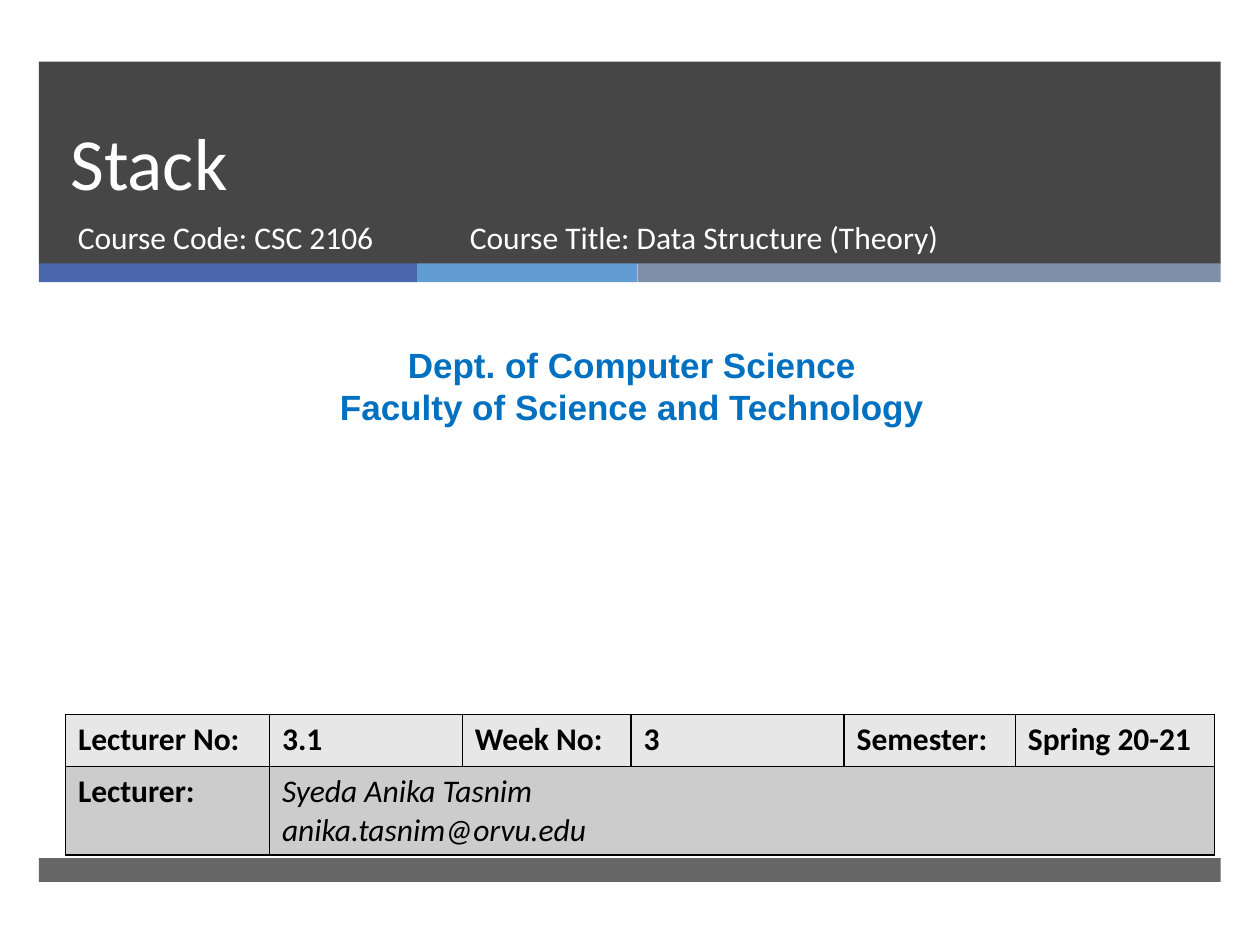
from lxml import etree
from pptx import Presentation
from pptx import util as u
from pptx.dml.color import RGBColor
from pptx.enum import shapes, text
from pptx.oxml import ns

WHITE = RGBColor(0xFF, 0xFF, 0xFF)
BLACK = RGBColor(0, 0, 0)
CHARCOAL = RGBColor(0x26, 0x26, 0x26)
INDIGO = RGBColor(0x4A, 0x66, 0xAC)
SKY = RGBColor(0x62, 0x9D, 0xD1)
SLATE = RGBColor(0x7F, 0x8F, 0xA9)
DEPT_BLUE = RGBColor(0x00, 0x70, 0xC0)
LIGHT_GREY = RGBColor(0xE7, 0xE7, 0xE7)
MID_GREY = RGBColor(0xCC, 0xCC, 0xCC)


class CoverSlide:
    base = {"name": "Calibri", "size": u.Pt(18)}

    def __init__(self, deck):
        self.slide = deck.slides.add_slide(deck.slide_layouts[6])

    def band(self, left, top, width, height, color, opacity=100):
        box = map(u.Pt, (left, top, width, height))
        bar = self.slide.shapes.add_shape(shapes.MSO_SHAPE.RECTANGLE, *box)
        bar.shadow.inherit = False
        bar.line.fill.background()
        bar.fill.solid()
        bar.fill.fore_color.rgb = color
        if opacity < 100:
            tint = bar._element.spPr.find(ns.qn("a:solidFill"))[0]
            etree.SubElement(tint, ns.qn("a:alpha"), val=str(opacity * 1000))

    def set_lines(self, frame, lines, color, paragraph_format=None, **font_format):
        frame.word_wrap = True
        for index, line in enumerate(lines):
            paragraph = frame.paragraphs[0] if index == 0 else frame.add_paragraph()
            for key, value in (paragraph_format or {}).items():
                setattr(paragraph, key, value)
            run = paragraph.add_run()
            run.text = line
            run.font.color.rgb = color
            for key, value in {**self.base, **font_format}.items():
                setattr(run.font, key, value)

    def label(self, left, top, width, height, lines, color,
              anchor=text.MSO_ANCHOR.TOP, paragraph_format=None, **font_format):
        box = map(u.Pt, (left, top, width, height))
        frame = self.slide.shapes.add_textbox(*box).text_frame
        frame.vertical_anchor = anchor
        self.set_lines(frame, lines, color, paragraph_format, **font_format)

    def outline(self, cell):
        properties = cell._tc.get_or_add_tcPr()
        for side in ("a:lnL", "a:lnR", "a:lnT", "a:lnB"):
            edge = etree.SubElement(properties, ns.qn(side), w=str(u.Pt(1)))
            fill = etree.SubElement(edge, ns.qn("a:solidFill"))
            etree.SubElement(fill, ns.qn("a:srgbClr"), val=str(BLACK))

    def table(self, left, top, widths, heights, fills, entries, merge):
        box = map(u.Pt, (left, top, sum(widths), sum(heights)))
        grid = self.slide.shapes.add_table(len(heights), len(widths), *box).table
        for column, width in zip(grid.columns, widths):
            column.width = u.Pt(width)
        for row, height, shade in zip(grid.rows, heights, fills):
            row.height = u.Pt(height)
            for cell in row.cells:
                self.outline(cell)
                cell.fill.solid()
                cell.fill.fore_color.rgb = shade
        start, end = merge
        grid.cell(*start).merge(grid.cell(*end))
        for row, entry_row in enumerate(entries):
            for column, (lines, font_format) in enumerate(entry_row):
                self.set_lines(grid.cell(row, column).text_frame, lines, BLACK, **font_format)


def main():
    deck = Presentation()
    deck.slide_width, deck.slide_height = u.Pt(720), u.Pt(540)
    cover = CoverSlide(deck)

    margin, full_width = 22.3, 675.2
    cover.band(margin, 35.2, full_width, 115.6, CHARCOAL, 85)
    stripe_left = margin
    for width, color in ((216, INDIGO), (126, SKY), (333.2, SLATE)):
        cover.band(stripe_left, 150.5, width, 10.8, color)
        stripe_left += width
    cover.band(margin, 490.3, full_width, 13.7, CHARCOAL, 70)

    cover.label(33.1, 35.3, 615, 85.7, ["Stack"], WHITE, text.MSO_ANCHOR.BOTTOM,
                {"line_spacing": u.Pt(46)}, size=u.Pt(42))
    cover.label(37.4, 121, 220, 38, ["Course Code: CSC 2106"], WHITE)
    cover.label(5.8, 193, 710.6, 55.4,
                ["Dept. of Computer Science", "Faculty of Science and Technology"],
                DEPT_BLUE, paragraph_format={"alignment": text.PP_ALIGN.CENTER},
                name="Arial", size=u.Pt(20), bold=True)

    bold, italic = {"bold": True}, {"bold": False, "italic": True}
    session = ("Lecturer No:", "3.1", "Week No:", "3", "Semester:", "Spring 20-21")
    lecturer = ["Syeda Anika Tasnim", "anika.tasnim@orvu.edu"]
    cover.table(37.4, 408.2, (116.6, 110.2, 96.5, 121.7, 97.9, 113.8), (29.8, 50.5),
                (LIGHT_GREY, MID_GREY),
                ([([item], bold) for item in session],
                 [(["Lecturer:"], bold), (lecturer, italic)]),
                ((1, 1), (1, 5)))
    cover.label(261.4, 121.3, 327.6, 38, ["Course Title: Data Structure (Theory)"], WHITE)

    deck.save("out.pptx")


if __name__ == "__main__":
    main()
